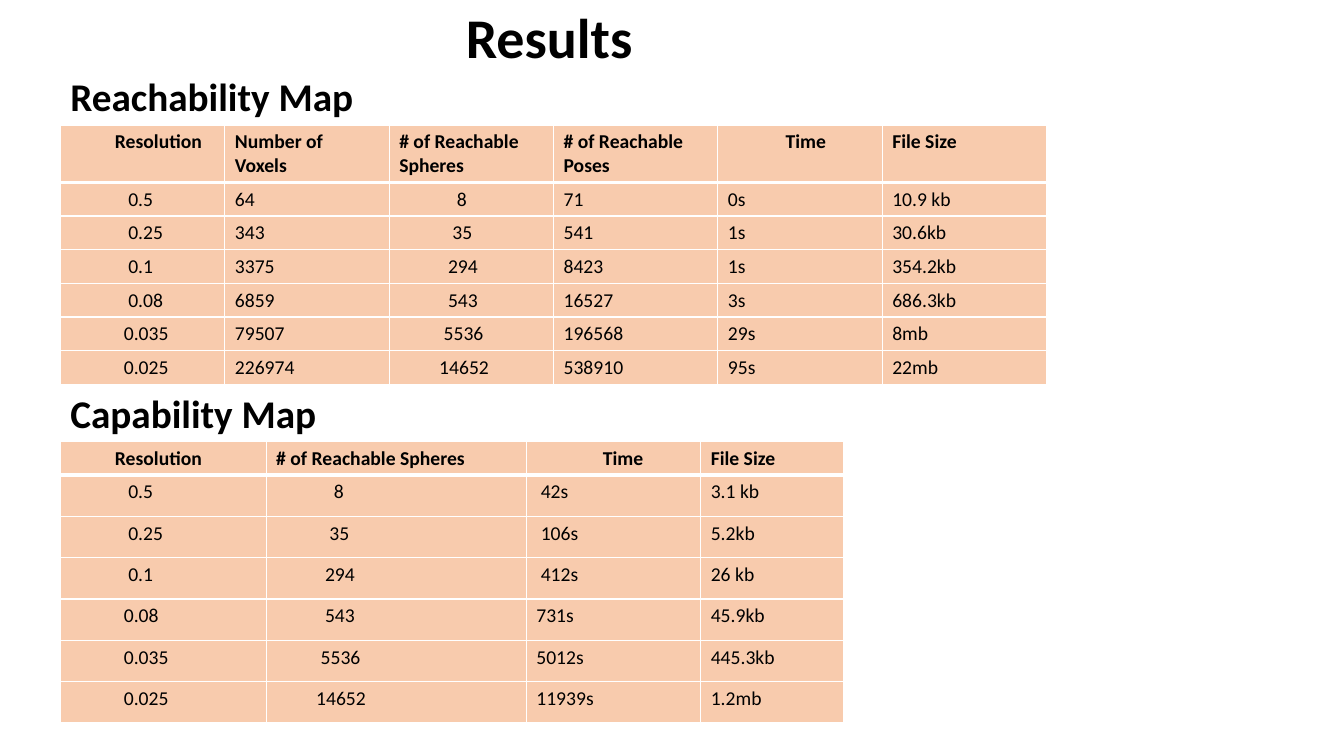
from dataclasses import dataclass

from lxml.etree import SubElement
from pptx import Presentation
from pptx.dml.color import RGBColor
from pptx.enum.text import MSO_ANCHOR, MSO_AUTO_SIZE, PP_ALIGN
from pptx.oxml.ns import qn
from pptx.slide import Slide
from pptx.table import _Cell
from pptx.text.text import _Paragraph
from pptx.util import Inches, Pt


@dataclass(frozen=True)
class Theme:
    font: str = "Calibri"
    ink: RGBColor = RGBColor(0x00, 0x00, 0x00)
    cell_fill: RGBColor = RGBColor(0xF8, 0xCB, 0xAD)
    border: str = "FFFFFF"
    title_size: float = 40
    heading_size: float = 28
    cell_size: float = 14
    thin_line: float = 1
    header_line: float = 3


@dataclass(frozen=True)
class Column:
    title: str
    width: float
    values: tuple[str, ...]
    title_indent: int = 0  # in indent steps
    indents: tuple[int, ...] = (0,) * 6


@dataclass(frozen=True)
class ResultTable:
    heading: str
    top: float
    header_height: float
    row_height: float
    columns: tuple[Column, ...]


THEME = Theme()
LEFT = 0.6
HEADING_HEIGHT = 0.57
INDENT_STEP = 0.044

# Values shared by both maps
RESOLUTIONS = ("0.5", "0.25", "0.1", "0.08", "0.035", "0.025")
SPHERES = ("8", "35", "294", "543", "5536", "14652")
SPHERE_INDENTS = (13, 12, 11, 11, 10, 9)

RESULT_TABLES = (
    ResultTable("Reachability Map", 0.67, 0.57, 0.33, (
        Column("Resolution", 1.63, RESOLUTIONS, 10, (13, 13, 13, 13, 12, 12)),
        Column("Number of Voxels", 1.63, ("64", "343", "3375", "6859", "79507", "226974")),
        Column("# of Reachable Spheres", 1.63, SPHERES, 0, SPHERE_INDENTS),
        Column("# of Reachable Poses", 1.63, ("71", "541", "8423", "16527", "196568", "538910")),
        Column("Time", 1.63, ("0s", "1s", "1s", "3s", "29s", "95s"), 13),
        Column("File Size", 1.63, ("10.9 kb", "30.6kb", "354.2kb", "686.3kb", "8mb", "22mb")),
    )),
    ResultTable("Capability Map", 3.81, 0.33, 0.41, (
        Column("Resolution", 2.04, RESOLUTIONS, 10, (13, 13, 13, 12, 12, 12)),
        Column("# of Reachable Spheres", 2.58, SPHERES, 0, SPHERE_INDENTS),
        Column("Time", 1.73, ("42s", "106s", "412s", "731s", "5012s", "11939s"), 15,
               (1, 1, 1, 0, 0, 0)),
        Column("File Size", 1.42, ("3.1 kb", "5.2kb", "26 kb", "45.9kb", "445.3kb", "1.2mb")),
    )),
)


def style_paragraph(para: _Paragraph, size: float, bold: bool) -> None:
    para.alignment = PP_ALIGN.LEFT
    para.font.name = THEME.font
    para.font.size = Pt(size)
    para.font.bold = bold
    para.font.color.rgb = THEME.ink


def set_borders(cell: _Cell, top: float, bottom: float) -> None:
    properties = cell._tc.get_or_add_tcPr()
    widths = {"a:lnL": THEME.thin_line, "a:lnR": THEME.thin_line, "a:lnT": top, "a:lnB": bottom}
    for side, width in widths.items():
        line = SubElement(properties, qn(side), w=str(Pt(width)))
        fill = SubElement(line, qn("a:solidFill"))
        SubElement(fill, qn("a:srgbClr"), val=THEME.border)


def fill_cell(cell: _Cell, text: str, row: int, indent: int) -> None:
    set_borders(cell,
                top=THEME.header_line if row == 1 else THEME.thin_line,
                bottom=THEME.header_line if row == 0 else THEME.thin_line)
    cell.fill.solid()
    cell.fill.fore_color.rgb = THEME.cell_fill
    cell.text = text
    para = cell.text_frame.paragraphs[0]
    if indent:
        para._p.get_or_add_pPr().set("marL", str(Inches(indent * INDENT_STEP)))
    style_paragraph(para, THEME.cell_size, bold=row == 0)


def add_title(page: Slide) -> None:
    title = page.shapes.title
    title.left, title.top = Inches(4.52), Inches(0)
    title.width, title.height = Inches(3.99), Inches(0.81)
    title.text_frame.text = "Results"
    title.text_frame.auto_size = MSO_AUTO_SIZE.NONE
    title.text_frame.vertical_anchor = MSO_ANCHOR.MIDDLE
    para = title.text_frame.paragraphs[0]
    para.line_spacing = 0.9
    style_paragraph(para, THEME.title_size, bold=True)


def add_heading(page: Slide, text: str, top: float) -> None:
    box = page.shapes.add_textbox(Inches(LEFT), Inches(top), Inches(3.48), Inches(HEADING_HEIGHT))
    box.text_frame.word_wrap = True
    box.text_frame.auto_size = MSO_AUTO_SIZE.SHAPE_TO_FIT_TEXT
    box.text_frame.text = text
    style_paragraph(box.text_frame.paragraphs[0], THEME.heading_size, bold=True)


def add_result_table(page: Slide, result: ResultTable) -> None:
    add_heading(page, result.heading, result.top)
    heights = [result.header_height] + [result.row_height] * len(RESOLUTIONS)
    width = sum(column.width for column in result.columns)
    table = page.shapes.add_table(
        len(heights), len(result.columns), Inches(LEFT), Inches(result.top + HEADING_HEIGHT),
        Inches(width), Inches(sum(heights))).table
    table.horz_banding = False
    for row, height in zip(table.rows, heights):
        row.height = Inches(height)
    for index, column in enumerate(result.columns):
        table.columns[index].width = Inches(column.width)
        texts = (column.title, *column.values)
        indents = (column.title_indent, *column.indents)
        for row, (text, indent) in enumerate(zip(texts, indents)):
            fill_cell(table.cell(row, index), text, row, indent)


def main() -> None:
    deck = Presentation()
    deck.slide_width, deck.slide_height = Inches(13.33), Inches(7.5)
    page = deck.slides.add_slide(deck.slide_layouts[5])
    add_title(page)
    for result in RESULT_TABLES:
        add_result_table(page, result)
    deck.save("out.pptx")


if __name__ == "__main__":
    main()
